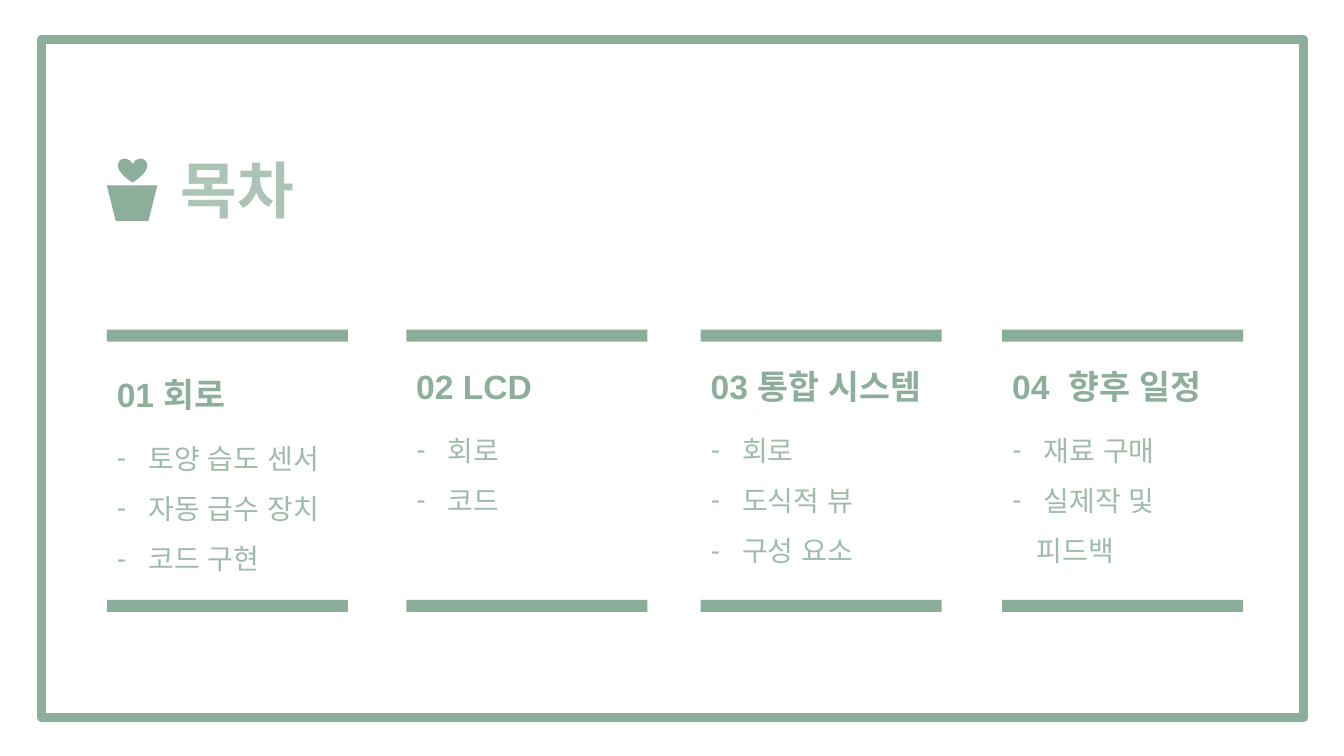
from lxml import etree
from pptx import Presentation
from pptx.dml.color import RGBColor
from pptx.enum.shapes import MSO_SHAPE as Shape
from pptx.enum.text import MSO_ANCHOR as Anchor, MSO_AUTO_SIZE as Fit, PP_ALIGN as Align
from pptx.oxml.ns import qn
from pptx.util import Inches, Pt

FONT = "Arial"
COLORS = {"frame": "8CAE9A", "title": "ACC4B6", "bar": "89AD98", "item": "9FBBAA"}
COLUMNS = [
    (1.06, 3.66, "01 회로", ["토양 습도 센서", "자동 급수 장치", "코드 구현"], None),
    (4.03, 3.58, "02 LCD", ["회로", "코드"], None),
    (6.95, 3.58, "03 통합 시스템", ["회로", "도식적 뷰", "구성 요소"], None),
    (9.94, 3.58, "04  향후 일정", ["재료 구매", "실제작 및"], "피드백"),
]


def color(name):
    return RGBColor.from_string(COLORS[name])


def place(shape, left, top, width, height):
    shape.left, shape.top = Inches(left), Inches(top)
    shape.width, shape.height = Inches(width), Inches(height)


def style(para, size, name, bold=False):
    para.alignment = Align.LEFT
    para.space_before = para.space_after = Pt(0)
    for run in para.runs:
        font = run.font
        font.name, font.size, font.bold = FONT, Pt(size), bold
        font.color.rgb = color(name)
        east = etree.SubElement(run._r.get_or_add_rPr(), qn("a:ea"))
        east.set("typeface", FONT)


def setup(frame):
    frame.word_wrap = True
    frame.auto_size = Fit.NONE
    frame.vertical_anchor = Anchor.TOP


def indent(para, left, first, mark=None):
    props = para._p.get_or_add_pPr()
    props.set("marL", str(Inches(left)))
    props.set("indent", str(Inches(first)))
    if mark is None:
        etree.SubElement(props, qn("a:buNone"))
        return
    tint = etree.SubElement(props, qn("a:buClr"))
    etree.SubElement(tint, qn("a:srgbClr")).set("val", COLORS["item"])
    etree.SubElement(props, qn("a:buFont")).set("typeface", FONT)
    etree.SubElement(props, qn("a:buChar")).set("char", mark)


def add_solid(slide, kind, box, name):
    shape = slide.shapes.add_shape(kind, *map(Inches, box))
    shape.shadow.inherit = False
    shape.fill.solid()
    shape.fill.fore_color.rgb = color(name)
    shape.line.fill.background()
    return shape


def add_frame(slide):
    frame = slide.shapes.add_shape(Shape.RECTANGLE, *map(Inches, (0.41, 0.39, 12.52, 6.73)))
    frame.shadow.inherit = False
    frame.fill.background()
    frame.line.color.rgb = color("frame")
    frame.line.width = Pt(6.5)


def add_title(slide):
    title = slide.shapes.title
    place(title, 1.69, 1.46, 2.82, 0.84)
    setup(title.text_frame)
    title.text_frame.text = "목차"
    style(title.text_frame.paragraphs[0], 44, "title", True)


def add_plant(slide):
    pot = add_solid(slide, Shape.TRAPEZOID, (1.06, 1.84, 0.5, 0.35), "frame")
    pot.rotation = 180
    add_solid(slide, Shape.HEART, (1.17, 1.57, 0.29, 0.24), "frame")


def add_heading(slide, left, top, text):
    box = slide.shapes.add_textbox(*map(Inches, (left, top, 2.65, 0.5)))
    setup(box.text_frame)
    box.text_frame.text = text
    style(box.text_frame.paragraphs[0], 24, "frame", True)


def fill_list(body, left, top, items, tail):
    place(body, left, top, 3.3, 1.75)
    frame = body.text_frame
    setup(frame)
    lines = items + [tail] if tail else items
    frame.text = "\n".join(lines)
    for para in frame.paragraphs:
        style(para, 20, "item")
        para.line_spacing = 1.5
        if para.text == tail:
            indent(para, 0.24, 0)
        else:
            indent(para, 0.31, -0.34, "-")


def main():
    deck = Presentation()
    deck.slide_width, deck.slide_height = Inches(13.33), Inches(7.5)
    slide = deck.slides.add_slide(deck.slide_layouts.get_by_name("Comparison"))
    add_frame(slide)
    add_title(slide)
    add_plant(slide)
    bodies = [slide.placeholders[idx] for idx in range(1, 5)]
    for body, (left, top, head, items, tail) in zip(bodies, COLUMNS):
        for edge in (3.27, 5.95):
            add_solid(slide, Shape.RECTANGLE, (left, edge, 2.39, 0.12), "bar")
        add_heading(slide, left, top, head)
        fill_list(body, left, top + 0.5, items, tail)
    deck.save("out.pptx")


if __name__ == "__main__":
    main()
